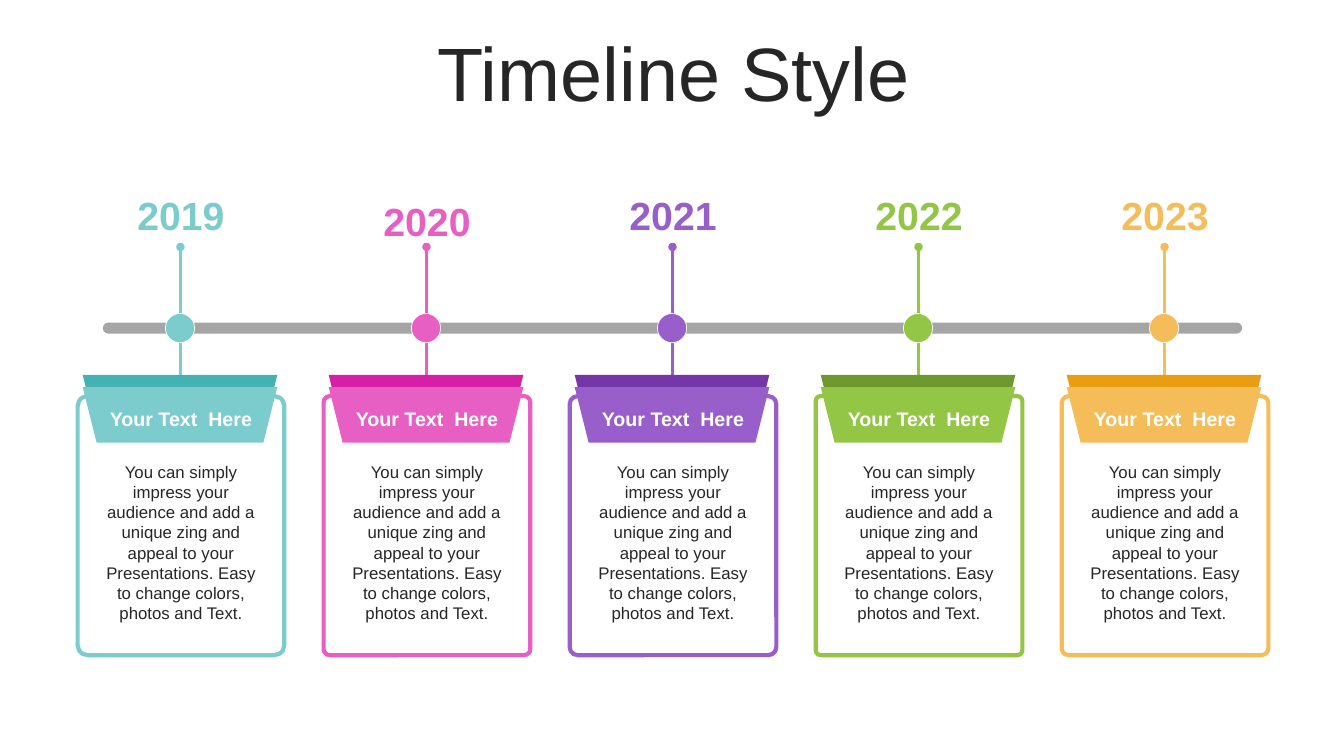
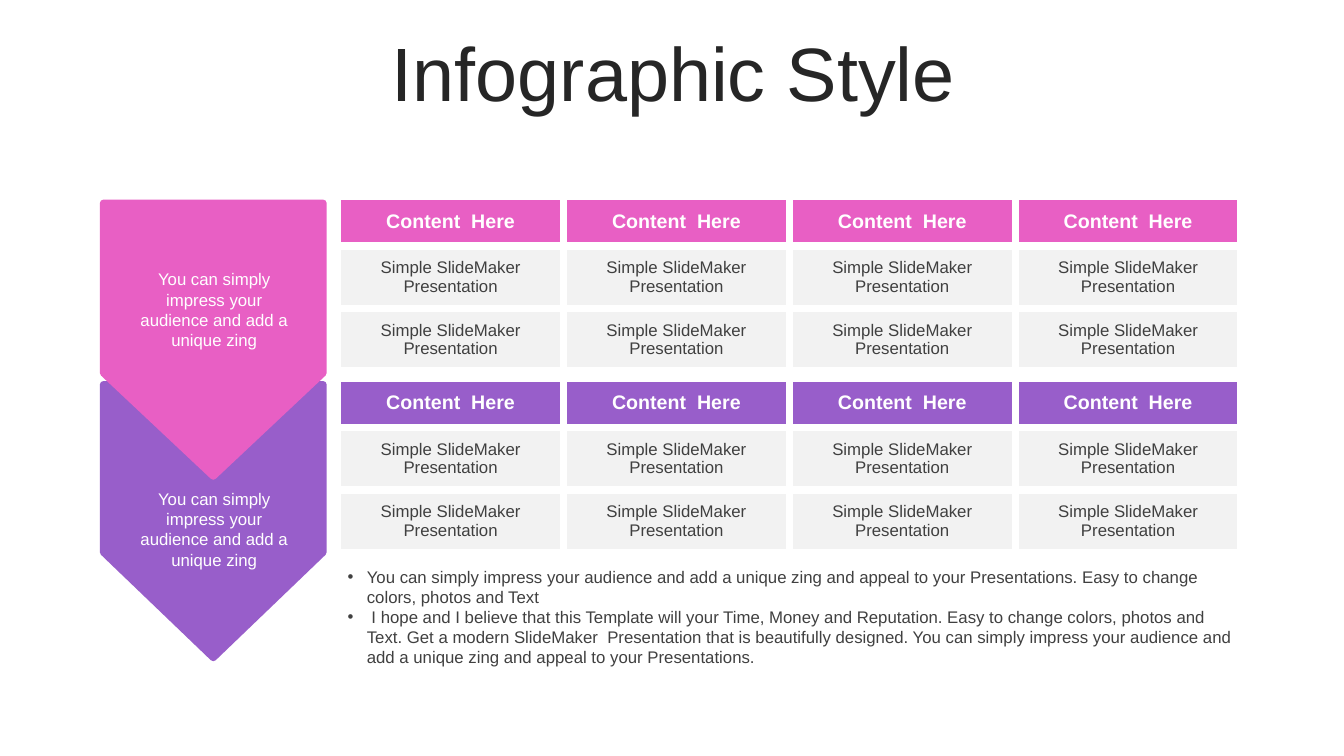
import lxml.etree
import pptx
import pptx.dml.color
import pptx.enum.shapes
import pptx.enum.text
import pptx.oxml.ns
import pptx.util

COLORS = {
    "teal": "7CCCCD", "teal_dark": "44B1B3",
    "pink": "E85FC4", "pink_dark": "D61FA6",
    "purple": "985ECA", "purple_dark": "7337A7",
    "green": "92C644", "green_dark": "6E992F",
    "orange": "F4BD59", "orange_dark": "EA9D10",
    "white": "FFFFFF", "ink": "262626", "text": "404040",
    "axis": "808080", "cell": "F2F2F2",
}
FONT = "Arial"
EMU_PER_PX = 9144  # 100 px to the inch
SHAPES = pptx.enum.shapes.MSO_SHAPE
CENTER = pptx.enum.text.PP_ALIGN.CENTER
LEFT = pptx.enum.text.PP_ALIGN.LEFT
TOP = pptx.enum.text.MSO_ANCHOR.TOP
MIDDLE = pptx.enum.text.MSO_ANCHOR.MIDDLE


def px(n):
    return pptx.util.Emu(n * EMU_PER_PX)


def rgb(name):
    return pptx.dml.color.RGBColor.from_string(COLORS[name])


def add_xml(parent, tag, **attrs):
    return lxml.etree.SubElement(parent, pptx.oxml.ns.qn(tag), attrs)


class Deck:
    """The presentation's style and the slide being filled."""

    def __init__(self, width, height):
        self.prs = pptx.Presentation()
        self.prs.slide_width, self.prs.slide_height = px(width), px(height)
        self.s = None

    def slide(self, title):
        self.s = self.prs.slides.add_slide(self.prs.slide_layouts[6])
        tf = self.text([title], 35, 37, 1266, 79, 54, "ink", anchor=MIDDLE, grow=False)
        tf.paragraphs[0].line_spacing = 0.9

    def style(self, p, size, color, bold=False, align=CENTER):
        p.alignment = align
        for r in p.runs:
            r.font.name, r.font.size, r.font.bold = FONT, pptx.util.Pt(size), bold
            r.font.color.rgb = rgb(color)

    def text(self, lines, x, y, w, h, size, color, bold=False,
             align=CENTER, anchor=TOP, grow=True):
        tf = self.s.shapes.add_textbox(px(x), px(y), px(w), px(h)).text_frame
        tf.word_wrap, tf.vertical_anchor = True, anchor
        fit = pptx.enum.text.MSO_AUTO_SIZE
        tf.auto_size = fit.SHAPE_TO_FIT_TEXT if grow else fit.NONE
        tf.text = "\n".join(lines)
        for p in tf.paragraphs:
            self.style(p, size, color, bold, align)
        return tf

    def bullets(self, lines, x, y, w, h, size, color):
        tf = self.text(lines, x, y, w, h, size, color, align=LEFT)
        for p in tf.paragraphs:
            pPr = p._p.get_or_add_pPr()
            pPr.set("marL", str(px(19)))
            pPr.set("indent", str(px(-19)))
            add_xml(pPr, "a:buFont", typeface=FONT)
            add_xml(pPr, "a:buChar", char="•")

    def shape(self, kind, x, y, w, h, fill, line=None, line_pt=0,
              adj=None, rotation=0, alpha=None):
        sp = self.s.shapes.add_shape(kind, px(x), px(y), px(w), px(h))
        sp.shadow.inherit = False
        sp.rotation = rotation
        sp.fill.solid()
        sp.fill.fore_color.rgb = rgb(fill)
        if alpha is not None:
            clr = sp._element.spPr.find(".//" + pptx.oxml.ns.qn("a:srgbClr"))
            add_xml(clr, "a:alpha", val=str(alpha * 1000))
        if line:
            sp.line.color.rgb, sp.line.width = rgb(line), pptx.util.Pt(line_pt)
        else:
            sp.line.fill.background()
        if adj is not None:
            sp.adjustments[0] = adj

    def stem(self, x, top, bottom, color):
        """Vertical line with a dot at its top end."""
        c = self.s.shapes.add_connector(
            pptx.enum.shapes.MSO_CONNECTOR.STRAIGHT, px(x), px(top), px(x), px(bottom))
        c.line.color.rgb, c.line.width = rgb(color), pptx.util.Pt(2)
        add_xml(c.line._get_or_add_ln(), "a:headEnd", type="oval")
        add_xml(c._element.spPr, "a:effectLst")

    def table(self, rows, x, y, col_width, row_heights, header):
        n_rows, n_cols = len(rows), len(rows[0])
        t = self.s.shapes.add_table(n_rows, n_cols, px(x), px(y), px(col_width * n_cols),
                                    px(sum(row_heights))).table
        t.horz_banding = False
        for col in t.columns:
            col.width = px(col_width)
        for i, (row, height) in enumerate(zip(rows, row_heights)):
            t.rows[i].height = px(height)
            for j, label in enumerate(row):
                cell = t.cell(i, j)
                cell.text, cell.vertical_anchor = label, MIDDLE
                self.cell_borders(cell)
                cell.fill.solid()
                cell.fill.fore_color.rgb = rgb("cell" if i else header)
                look = (12, "text", False) if i else (14, "white", True)
                self.style(cell.text_frame.paragraphs[0], *look)

    def cell_borders(self, cell):
        tcPr = cell._tc.get_or_add_tcPr()
        for side in "LRTB":
            ln = add_xml(tcPr, "a:ln" + side, w=str(pptx.util.Pt(6)))
            add_xml(add_xml(ln, "a:solidFill"), "a:srgbClr", val=COLORS["white"])


def timeline_slide(d):
    d.slide("Timeline Style")
    # year, colour, top of the year label, card corner radius
    steps = [("2019", "teal", 185, 10), ("2020", "pink", 191, 6),
             ("2021", "purple", 185, 8), ("2022", "green", 185, 5),
             ("2023", "orange", 185, 7)]
    centers = [179 + 244 * i for i in range(len(steps))]
    body = ("You can simply impress your audience and add a unique zing and appeal "
            "to your Presentations. Easy to change colors, photos and Text.")

    for x, (_, color, _, _) in zip(centers, steps):
        d.stem(x, 245, 395, color)
    d.shape(SHAPES.ROUNDED_RECTANGLE, 102, 320, 1130, 11, "axis", adj=0.5, alpha=70)
    for x, (year, color, year_top, radius) in zip(centers, steps):
        d.shape(SHAPES.OVAL, x - 15, 311, 29, 29, color, "white", 0.5)
        d.shape(SHAPES.ROUNDED_RECTANGLE, x - 102, 393, 205, 257, "white", color, 3,
                adj=radius / 205)
        for top, shade in ((372, color + "_dark"), (384, color)):
            d.shape(SHAPES.TRAPEZOID, x - 97, top, 193, 55, shade, rotation=180)
        d.text(["Your Text  Here"], x - 85, 398, 171, 34, 14, "white", True, anchor=MIDDLE)
        d.text([body], x - 85, 453, 171, 172, 12, "ink")
        d.text([year], x - 58, year_top, 117, 57, 28, color, True)


def infographic_slide(d):
    d.slide("Infographic Style")
    # colour, arrow top, arrow point, text top, table top; the upper arrow lies in front
    bands = [("purple", 408, 0.48, 480, 375), ("pink", 228, 0.47, 262, 195)]
    cells = [["Content  Here"] * 4] + [["Simple SlideMaker Presentation"] * 4] * 2
    for color, arrow_top, point, text_top, table_top in bands:
        d.shape(SHAPES.PENTAGON, 76, arrow_top, 271, 218, color, color, 5,
                adj=point, rotation=90)
        d.table(cells, 335, table_top, 224, [49, 62, 62], color)
        d.text(["You can simply impress your audience and add a unique zing"],
               119, text_top, 187, 91, 12, "white")
    d.bullets([
        "You can simply impress your audience and add a unique zing and appeal to your "
        "Presentations. Easy to change colors, photos and Text",
        " I hope and I believe that this Template will your Time, Money and Reputation. "
        "Easy to change colors, photos and Text. Get a modern SlideMaker  Presentation "
        "that is beautifully designed. You can simply impress your audience and add a "
        "unique zing and appeal to your Presentations.",
    ], 335, 557, 904, 111, 12, "text")


def main():
    d = Deck(1333, 750)
    timeline_slide(d)
    infographic_slide(d)
    d.prs.save("out.pptx")


if __name__ == "__main__":
    main()
